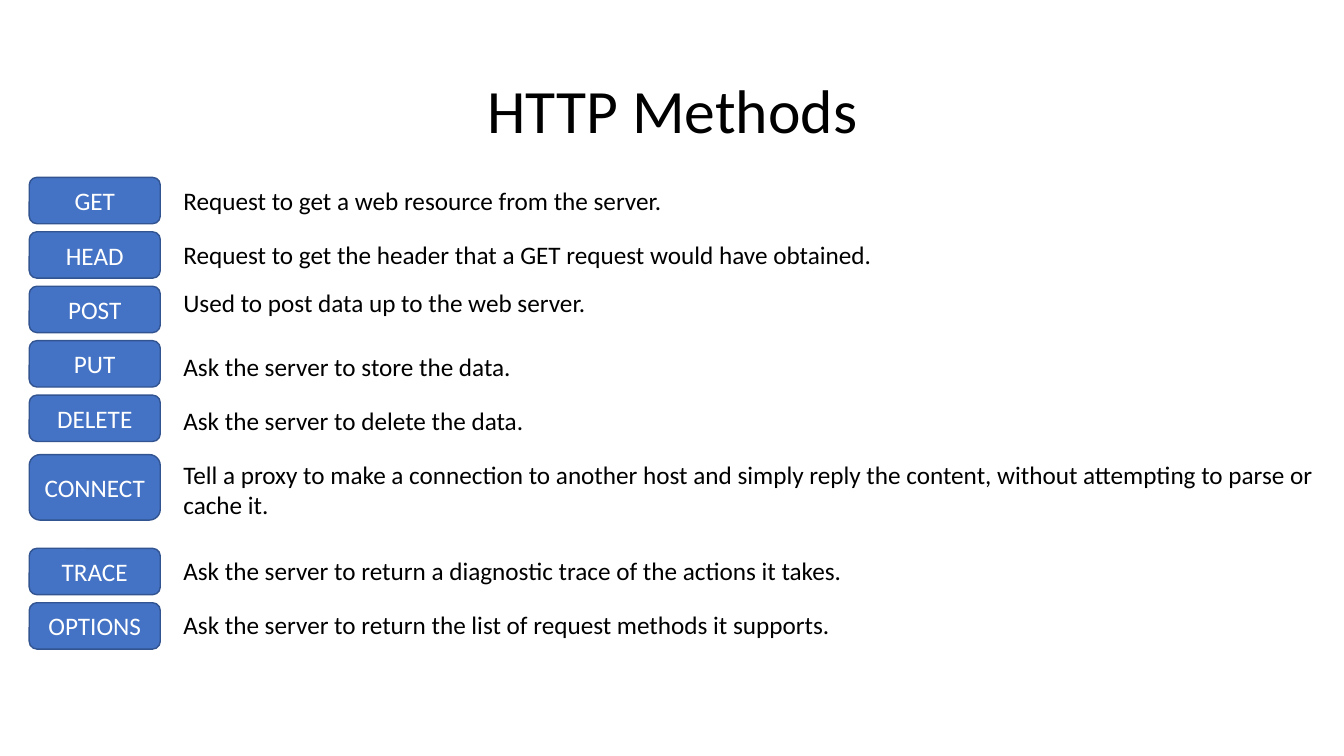
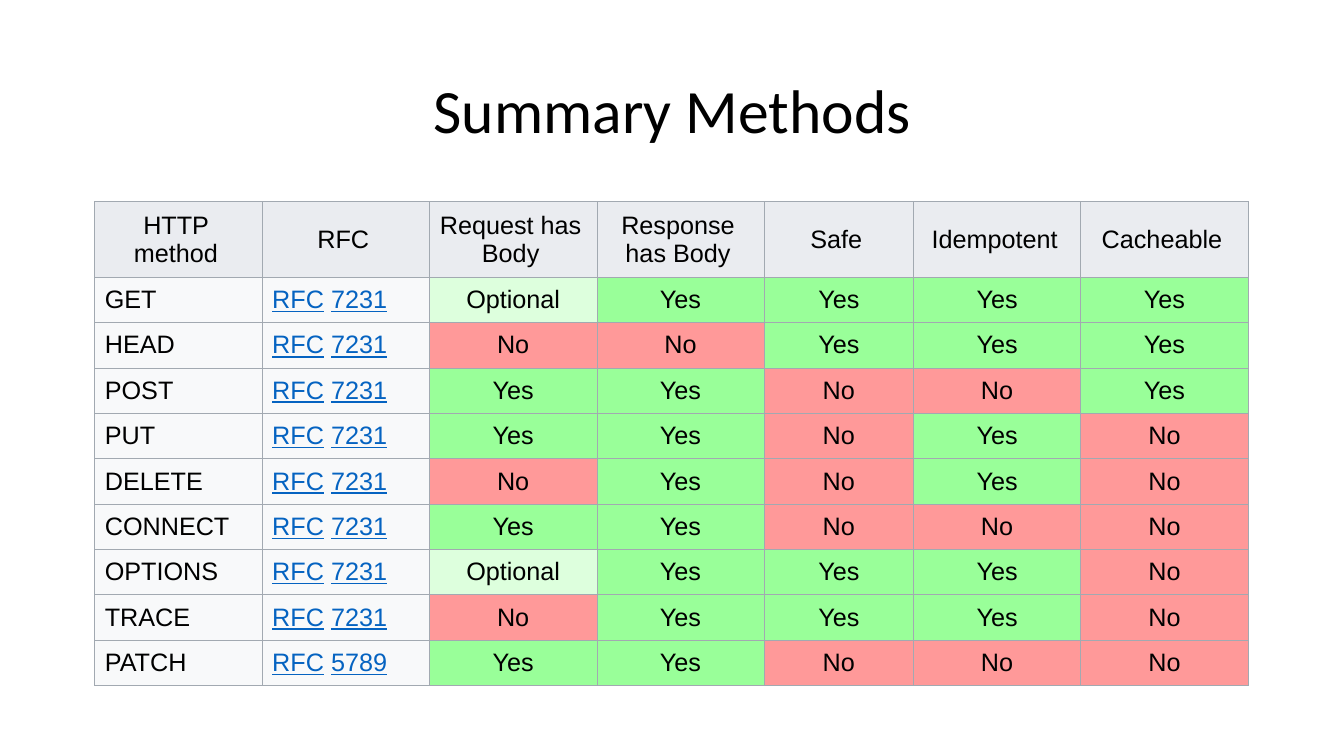
from lxml.etree import SubElement
from pptx import Presentation
from pptx.dml.color import RGBColor
from pptx.enum.shapes import MSO_SHAPE
from pptx.enum.text import MSO_ANCHOR, PP_ALIGN
from pptx.oxml.ns import qn
from pptx.util import Inches, Pt

BLACK = RGBColor(0x00, 0x00, 0x00)
WHITE = RGBColor(0xFF, 0xFF, 0xFF)
BLUE = RGBColor(0x44, 0x72, 0xC4)
DARK_BLUE = RGBColor(0x32, 0x54, 0x91)
LINK_BLUE = RGBColor(0x05, 0x63, 0xC1)
BORDER_GREY = RGBColor(0xA2, 0xA9, 0xB1)
HEADER_GREY = RGBColor(0xEA, 0xEC, 0xF0)
LABEL_GREY = RGBColor(0xF8, 0xF9, 0xFA)
ANSWER_FILLS = {
    "Yes": RGBColor(0x99, 0xFF, 0x99),
    "No": RGBColor(0xFF, 0x99, 0x99),
    "Optional": RGBColor(0xDD, 0xFF, 0xDD),
}

BODY_FONT = "Calibri"
TABLE_FONT = "Arial"

BADGE_LEFT, BADGE_WIDTH, BADGE_HEIGHT, BADGE_STEP = 0.29, 1.3, 0.46, 0.54
TEXT_LEFT = 1.72

# Each group: top of its first badge, badge height, and its methods
# as name, description, top and width of the description.
METHOD_GROUPS = [
    (1.76, BADGE_HEIGHT, [
        ("GET", "Request to get a web resource from the server.", 1.79, 8.72),
        ("HEAD", "Request to get the header that a GET request would have obtained.", 2.33, 11.45),
        ("POST", "Used to post data up to the web server.", 2.8, 4.3),
        ("PUT", "Ask the server to store the data.", 3.44, 3.55),
        ("DELETE", "Ask the server to delete the data.", 3.97, 3.7),
    ]),
    (4.51, 0.65, [
        ("CONNECT", "Tell a proxy to make a connection to another host and simply reply "
         "the content, without attempting to parse or cache it.", 4.51, 11.45),
    ]),
    (5.44, BADGE_HEIGHT, [
        ("TRACE", "Ask the server to return a diagnostic trace of the actions it takes.", 5.46, 7.17),
        ("OPTIONS", "Ask the server to return the list of request methods it supports.", 6, 6.75),
    ]),
]

COLUMN_WIDTHS = [1.66, 1.66, 1.66, 1.66, 1.48, 1.66, 1.66]
HEADER_HEIGHT, ROW_HEIGHT = 0.75, 0.45
HEADERS = ["HTTP method", "RFC", "Request has Body", "Response has Body",
           "Safe", "Idempotent", "Cacheable"]
SUMMARY = [
    ("GET", "7231", "Optional", "Yes", "Yes", "Yes", "Yes"),
    ("HEAD", "7231", "No", "No", "Yes", "Yes", "Yes"),
    ("POST", "7231", "Yes", "Yes", "No", "No", "Yes"),
    ("PUT", "7231", "Yes", "Yes", "No", "Yes", "No"),
    ("DELETE", "7231", "No", "Yes", "No", "Yes", "No"),
    ("CONNECT", "7231", "Yes", "Yes", "No", "No", "No"),
    ("OPTIONS", "7231", "Optional", "Yes", "Yes", "Yes", "No"),
    ("TRACE", "7231", "No", "Yes", "Yes", "Yes", "No"),
    ("PATCH", "5789", "Yes", "Yes", "No", "No", "No"),
]


def write(frame, text, size=18, font=BODY_FONT, color=BLACK,
          align=PP_ALIGN.LEFT, underline=False, line_spacing=None):
    para = frame.paragraphs[0]
    para.alignment = align
    para.line_spacing = line_spacing
    span = para.add_run()
    span.text = text
    span.font.size = Pt(size)
    span.font.name = font
    span.font.color.rgb = color
    span.font.underline = underline


def add_text(page, text, left, top, width, height, anchor=MSO_ANCHOR.TOP, **style):
    box = page.shapes.add_textbox(Inches(left), Inches(top), Inches(width), Inches(height))
    box.text_frame.word_wrap = True
    box.text_frame.vertical_anchor = anchor
    write(box.text_frame, text, **style)


def add_page(deck, title):
    page = deck.slides.add_slide(deck.slide_layouts[6])
    add_text(page, title, 0.92, 0.4, 11.5, 1.45, anchor=MSO_ANCHOR.MIDDLE,
             size=44, align=PP_ALIGN.CENTER, line_spacing=0.9)
    return page


def add_badge(page, name, top, height):
    badge = page.shapes.add_shape(MSO_SHAPE.ROUNDED_RECTANGLE, Inches(BADGE_LEFT),
                                  Inches(top), Inches(BADGE_WIDTH), Inches(height))
    badge.shadow.inherit = False
    badge.fill.solid()
    badge.fill.fore_color.rgb = BLUE
    badge.line.color.rgb = DARK_BLUE
    badge.line.width = Pt(1)
    badge.text_frame.vertical_anchor = MSO_ANCHOR.MIDDLE
    write(badge.text_frame, name, color=WHITE, align=PP_ALIGN.CENTER)


def style_cell(cell, fill, margin_right=0.1):
    properties = cell._tc.get_or_add_tcPr()
    for side in ("a:lnL", "a:lnR", "a:lnT", "a:lnB"):
        line = SubElement(properties, qn(side), w=str(Pt(0.5)))
        SubElement(SubElement(line, qn("a:solidFill")), qn("a:srgbClr"), val=str(BORDER_GREY))
    cell.fill.solid()
    cell.fill.fore_color.rgb = fill
    cell.vertical_anchor = MSO_ANCHOR.MIDDLE
    cell.margin_left = Inches(0.1)
    cell.margin_right = Inches(margin_right)
    cell.margin_top = cell.margin_bottom = Inches(0.05)


def write_cell(cell, text, **style):
    write(cell.text_frame, text, font=TABLE_FONT, **style)


def add_summary_table(page):
    height = HEADER_HEIGHT + ROW_HEIGHT * len(SUMMARY)
    table = page.shapes.add_table(len(SUMMARY) + 1, len(HEADERS), Inches(0.94), Inches(2),
                                  Inches(sum(COLUMN_WIDTHS)), Inches(height)).table
    table.first_row = table.horz_banding = False
    for column, width in zip(table.columns, COLUMN_WIDTHS):
        column.width = Inches(width)
    for index, row in enumerate(table.rows):
        row.height = Inches(ROW_HEIGHT if index else HEADER_HEIGHT)

    for cell, header in zip(table.rows[0].cells, HEADERS):
        style_cell(cell, HEADER_GREY, margin_right=0.15)
        write_cell(cell, header, align=PP_ALIGN.CENTER)

    for index, (method, number, *answers) in enumerate(SUMMARY, start=1):
        method_cell, rfc_cell, *answer_cells = table.rows[index].cells
        style_cell(method_cell, LABEL_GREY)
        write_cell(method_cell, method)
        style_cell(rfc_cell, LABEL_GREY)
        write_cell(rfc_cell, "RFC", color=LINK_BLUE, underline=True)
        write_cell(rfc_cell, " ")
        write_cell(rfc_cell, number, color=LINK_BLUE, underline=True)
        for cell, answer in zip(answer_cells, answers):
            style_cell(cell, ANSWER_FILLS[answer])
            write_cell(cell, answer, align=PP_ALIGN.CENTER)


def add_methods(page):
    for first_top, height, methods in METHOD_GROUPS:
        for index, (name, description, text_top, width) in enumerate(methods):
            add_badge(page, name, first_top + index * BADGE_STEP, height)
            add_text(page, description, TEXT_LEFT, text_top, width,
                     0.4 if height == BADGE_HEIGHT else 0.71)


def main():
    deck = Presentation()
    deck.slide_width = Inches(13.33)
    deck.slide_height = Inches(7.5)
    add_methods(add_page(deck, "HTTP Methods"))
    add_summary_table(add_page(deck, "Summary Methods"))
    deck.save("out.pptx")


if __name__ == "__main__":
    main()
